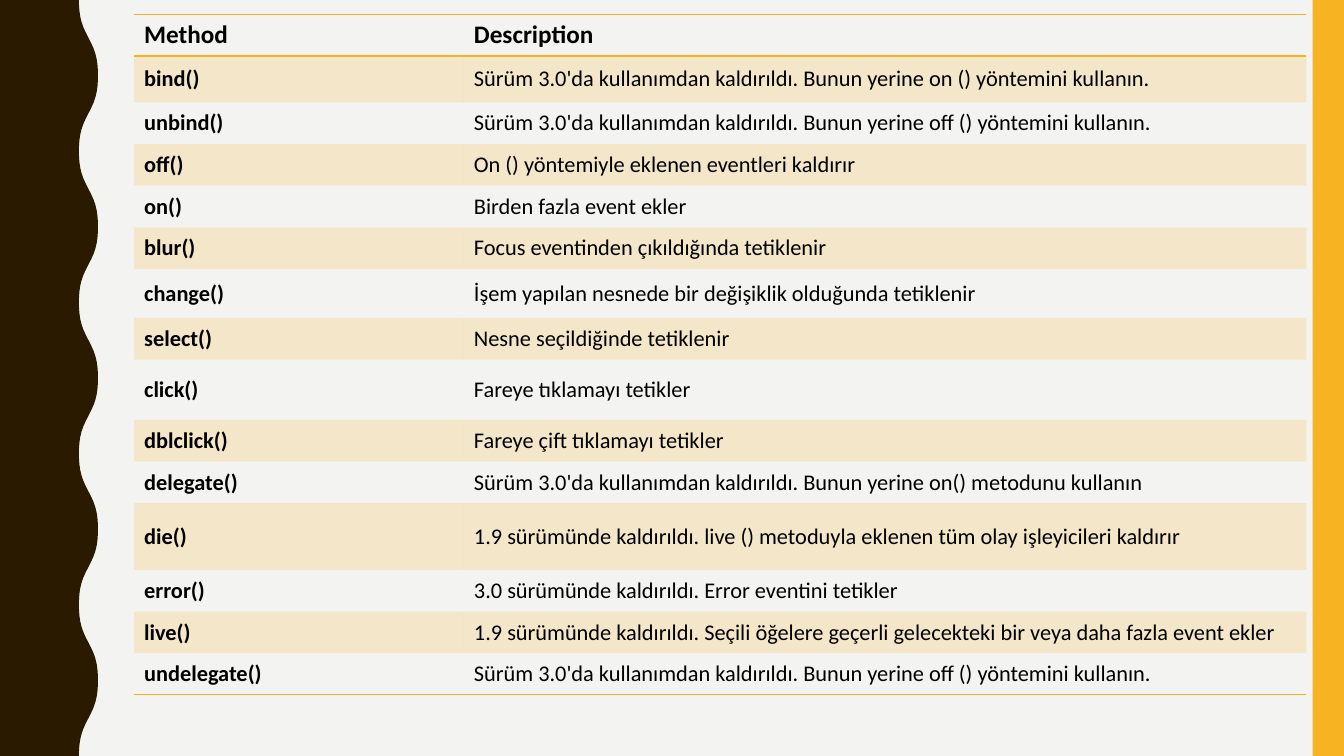
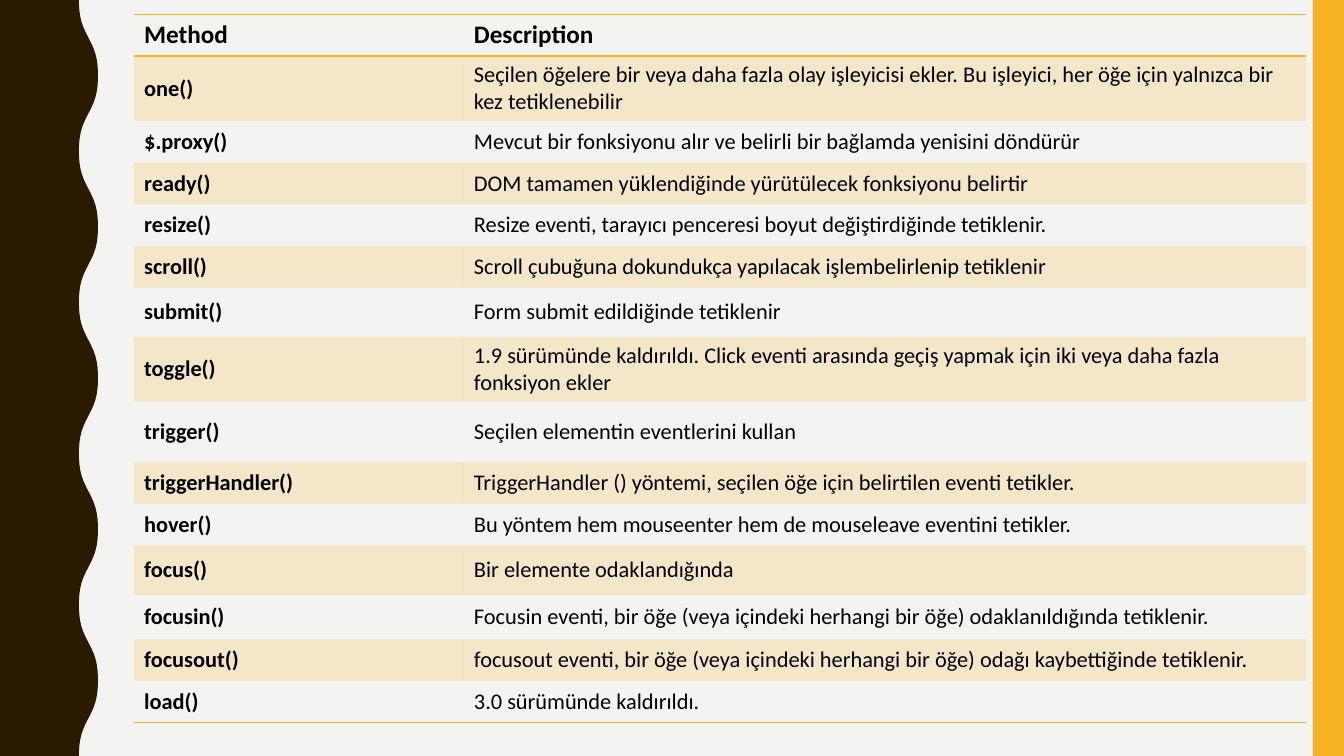
import math
from pptx import Presentation
from pptx import util as u
from pptx.dml import color
from pptx.enum import shapes, text
from pptx.oxml import ns, xmlchemy as xc
from lxml import etree

GOLD, BROWN, PALE, BLACK = "F8B323", "2A1A00", "F3F3F2", "000000"
PLAIN = "{2D5ABB26-0587-4C30-8999-92F81FD0307C}"
WIDE, HIGH, BAND = 33.87, 19.05, 0.79
WAVE, MID, SWING, STEPS = 3.81, 2.23, 0.24, 28
ROW = 1.05
COLS = [8.31, 21.23]
HEAD = ("Method", "Description")

PAGES = [
    [
        ("bind()", "Sürüm 3.0'da kullanımdan kaldırıldı. Bunun yerine on () yöntemini kullanın."),
        ("unbind()", "Sürüm 3.0'da kullanımdan kaldırıldı. Bunun yerine off () yöntemini kullanın."),
        ("off()", "On () yöntemiyle eklenen eventleri kaldırır"),
        ("on()", "Birden fazla event ekler"),
        ("blur()", "Focus eventinden çıkıldığında tetiklenir"),
        ("change()", "İşem yapılan nesnede bir değişiklik olduğunda tetiklenir"),
        ("select()", "Nesne seçildiğinde tetiklenir"),
        ("click()", "Fareye tıklamayı tetikler"),
        ("dblclick()", "Fareye çift tıklamayı tetikler"),
        ("delegate()", "Sürüm 3.0'da kullanımdan kaldırıldı. Bunun yerine on() metodunu kullanın"),
        ("die()", "1.9 sürümünde kaldırıldı. live () metoduyla eklenen tüm olay işleyicileri kaldırır"),
        ("error()", "3.0 sürümünde kaldırıldı. Error eventini tetikler"),
        ("live()", "1.9 sürümünde kaldırıldı. Seçili öğelere geçerli gelecekteki bir veya daha fazla event ekler"),
        ("undelegate()", "Sürüm 3.0'da kullanımdan kaldırıldı. Bunun yerine off () yöntemini kullanın."),
    ],
    [
        ("one()", "Seçilen öğelere bir veya daha fazla olay işleyicisi ekler. Bu işleyici, her öğe için yalnızca bir kez tetiklenebilir"),
        ("$.proxy()", "Mevcut bir fonksiyonu alır ve belirli bir bağlamda yenisini döndürür"),
        ("ready()", "DOM tamamen yüklendiğinde yürütülecek fonksiyonu belirtir"),
        ("resize()", "Resize eventi, tarayıcı penceresi boyut değiştirdiğinde tetiklenir."),
        ("scroll()", "Scroll çubuğuna dokundukça yapılacak işlembelirlenip tetiklenir"),
        ("submit()", "Form submit edildiğinde tetiklenir"),
        ("toggle()", "1.9 sürümünde kaldırıldı. Click eventi arasında geçiş yapmak için iki veya daha fazla fonksiyon ekler"),
        ("trigger()", "Seçilen elementin eventlerini kullan"),
        ("triggerHandler()", "TriggerHandler () yöntemi, seçilen öğe için belirtilen eventi tetikler."),
        ("hover()", "Bu yöntem hem mouseenter hem de mouseleave eventini tetikler."),
        ("focus()", "Bir elemente odaklandığında"),
        ("focusin()", "Focusin eventi, bir öğe (veya içindeki herhangi bir öğe) odaklanıldığında tetiklenir."),
        ("focusout()", "focusout eventi, bir öğe (veya içindeki herhangi bir öğe) odağı kaybettiğinde tetiklenir."),
        ("load()", "3.0 sürümünde kaldırıldı."),
    ],
]
TALL = {
    "bind()": 1.17, "change()": 1.23, "click()": 1.52, "die()": 1.68,
    "one()": 1.64, "submit()": 1.23, "toggle()": 1.64, "trigger()": 1.52,
    "focus()": 1.25, "focusin()": 1.12,
}


def paint(fill, tone):
    fill.solid()
    fill.fore_color.rgb = color.RGBColor.from_string(tone)


def write(cell, words, size=16, bold=False, tone=BLACK):
    cell.vertical_anchor = text.MSO_ANCHOR.MIDDLE
    para = cell.text_frame.paragraphs[0]
    run = para.add_run()
    run.text = words
    run.font.name = "Calibri"
    run.font.size = u.Pt(size)
    run.font.bold = bold
    paint(run.font.fill, tone)


deck = Presentation()
deck.slide_width, deck.slide_height = u.Cm(WIDE), u.Cm(HIGH)
master = deck.slide_master
paint(master.background.fill, PALE)
slides = [deck.slides.add_slide(deck.slide_layouts[6]) for page in PAGES]

edge = []
for step in range(5 * STEPS + 1):
    turn = 2 * math.pi * step / STEPS
    bend = math.cos(turn - 0.16 * math.sin(2 * turn))
    edge.append((u.Cm(MID - SWING * bend), u.Cm(WAVE * step / STEPS)))
pen = slides[0].shapes.build_freeform(0, 0)
pen.add_line_segments(edge + [(0, u.Cm(HIGH))], close=True)
wave = pen.convert_to_shape()
band = slides[0].shapes.add_shape(
    shapes.MSO_SHAPE.RECTANGLE, u.Cm(WIDE - BAND), 0, u.Cm(BAND), u.Cm(HIGH))
for num, (part, tone) in enumerate([(wave, BROWN), (band, GOLD)], 101):
    part.shadow.inherit = False
    paint(part.fill, tone)
    part.line.fill.background()
    part.element.xpath(".//p:cNvPr")[0].set("id", str(num))
    master.shapes.element.append(part.element)

for slide, page in zip(slides, PAGES):
    rows = [HEAD] + page
    tall = [TALL.get(row[0], ROW) for row in rows]
    frame = slide.shapes.add_table(
        len(rows), len(COLS), u.Cm(3.38), u.Cm(0.36), u.Cm(sum(COLS)), u.Cm(sum(tall)))
    grid = frame.table
    grid.horz_banding = False
    next(frame.element.iter(ns.qn("a:tableStyleId"))).text = PLAIN
    for col, width in zip(grid.columns, COLS):
        col.width = u.Cm(width)
    for r, row in enumerate(rows):
        grid.rows[r].height = u.Cm(tall[r])
        sides = ["lnT", "lnB"] if r == 0 else ["lnB"] if r == len(page) else []
        for c, words in enumerate(row):
            cell = grid.cell(r, c)
            write(cell, words, size=16 if r else 18, bold=r == 0 or c == 0)
            props = cell._tc.get_or_add_tcPr()
            if r % 2:
                paint(cell.fill, GOLD)
                tint = next(props.iter(ns.qn("a:srgbClr")))
                etree.SubElement(tint, ns.qn("a:alpha"), val="20000")
            else:
                cell.fill.background()
            for n, side in enumerate(sides):
                line = etree.Element(ns.qn("a:" + side), w=str(u.Pt(1)))
                solid = etree.SubElement(line, ns.qn("a:solidFill"))
                etree.SubElement(solid, ns.qn("a:srgbClr"), val=GOLD)
                props.insert(n, line)

deck.save("out.pptx")
